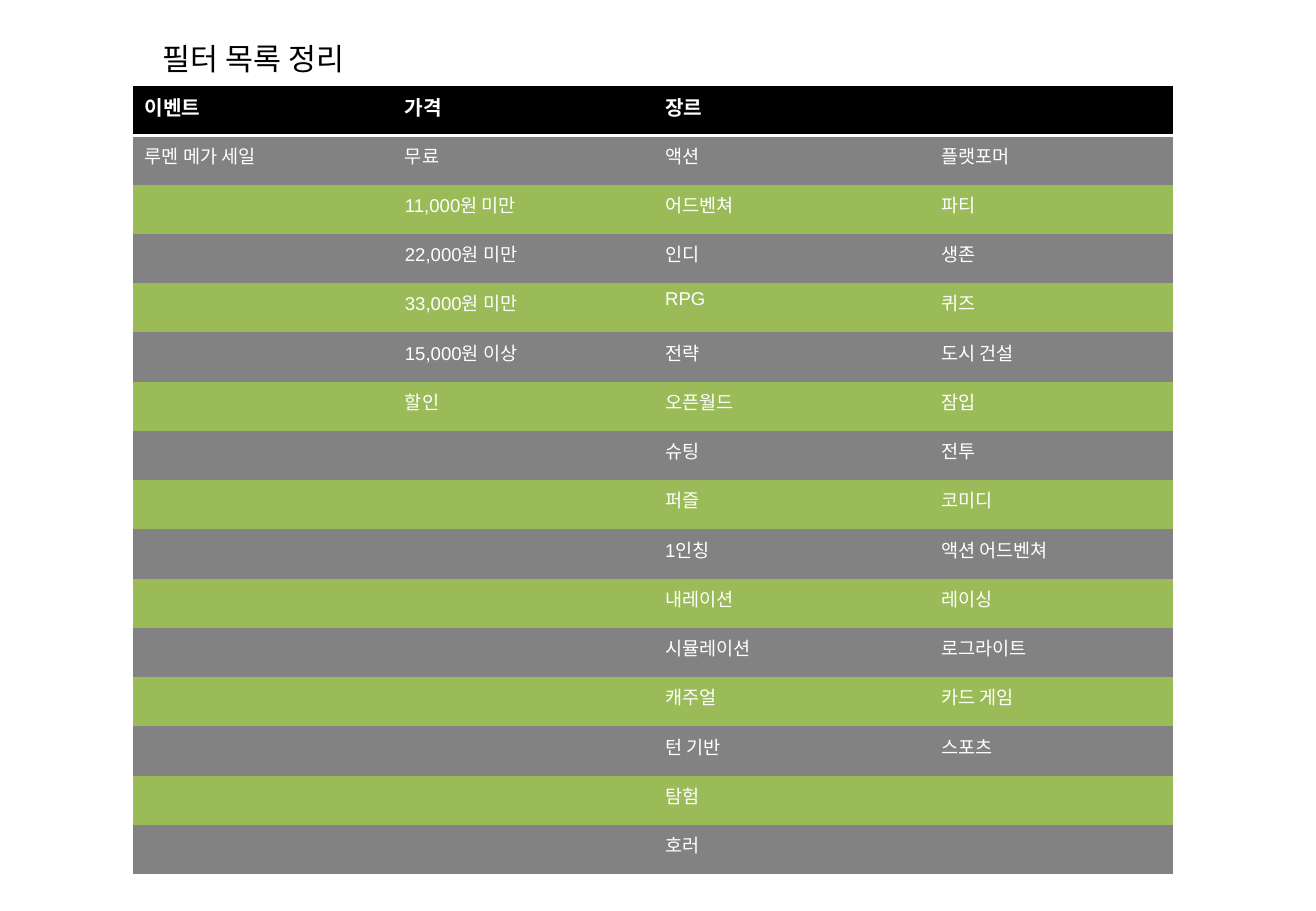
"""Build the filter list slide."""
from itertools import zip_longest

from lxml import etree
from pptx import Presentation
from pptx.dml.color import RGBColor
from pptx.enum.text import MSO_ANCHOR, PP_ALIGN
from pptx.oxml import parse_xml
from pptx.oxml.ns import nsdecls, qn
from pptx.util import Cm, Pt

COLORS = {"header": "000000", "odd": "828282", "even": "9BBB59",
          "text": "FFFFFF", "title": "000000", "border": "FFFFFF"}
NO_STYLE = "{2D5ABB26-0587-4C30-8999-92F81FD0307C}"
COL_WIDTHS = [5.44, 5.44, 5.77, 5.11]
ROW_HEIGHT = 1.03

events = ["이벤트", "루멘 메가 세일"]
prices = ["가격", "무료", "11,000원 미만", "22,000원 미만", "33,000원 미만",
          "15,000원 이상", "할인"]
genres = ["장르", "액션", "어드벤쳐", "인디", "RPG", "전략", "오픈월드", "슈팅",
          "퍼즐", "1인칭", "내레이션", "시뮬레이션", "캐주얼", "턴 기반", "탐험", "호러"]
more_genres = ["", "플랫포머", "파티", "생존", "퀴즈", "도시 건설", "잠입", "전투",
               "코미디", "액션 어드벤쳐", "레이싱", "로그라이트", "카드 게임", "스포츠"]
rows = list(zip_longest(events, prices, genres, more_genres, fillvalue=""))


def style_run(r, font, size, color, bold=False):
    r.font.name, r.font.size, r.font.bold = font, Pt(size), bold
    r.font.color.rgb = RGBColor.from_string(COLORS[color])


prs = Presentation()
prs.slide_width, prs.slide_height = Cm(27.51), Cm(19.05)
s = prs.slides.add_slide(prs.slide_layouts[5])

title = s.shapes.title
title.left, title.top, title.width, title.height = Cm(3.15), Cm(0.71), Cm(6.81), Cm(1.02)
tf = title.text_frame
tf.text = "필터 목록 정리"
tf.vertical_anchor = MSO_ANCHOR.TOP
p = tf.paragraphs[0]
p.alignment = PP_ALIGN.LEFT
style_run(p.runs[0], "Noto Sans CJK KR", 18, "title")

frame = s.shapes.add_table(len(rows), len(COL_WIDTHS), Cm(2.77), Cm(1.8),
                           Cm(sum(COL_WIDTHS)), Cm(ROW_HEIGHT * len(rows)))
table = frame.table
table.horz_banding = False
frame._element.find(".//" + qn("a:tableStyleId")).text = NO_STYLE
for column, width in zip(table.columns, COL_WIDTHS):
    column.width = Cm(width)

for i, row in enumerate(rows):
    table.rows[i].height = Cm(ROW_HEIGHT)
    band = "header" if i == 0 else "odd" if i % 2 else "even"
    for j, text in enumerate(row):
        cell = table.cell(i, j)
        cell.fill.solid()
        cell.fill.fore_color.rgb = RGBColor.from_string(COLORS[band])
        if text:
            cell.text = text
            style_run(cell.text_frame.paragraphs[0].runs[0], "Arial",
                      12 if i == 0 else 11, "text", i == 0)
        if i == 0:
            line = parse_xml(f'<a:lnB {nsdecls("a")} w="{Pt(2)}"/>')
            fill = etree.SubElement(line, qn("a:solidFill"))
            etree.SubElement(fill, qn("a:srgbClr"), val=COLORS["border"])
            cell._tc.get_or_add_tcPr().insert(0, line)

table.cell(0, 2).merge(table.cell(0, 3))

prs.save("out.pptx")
